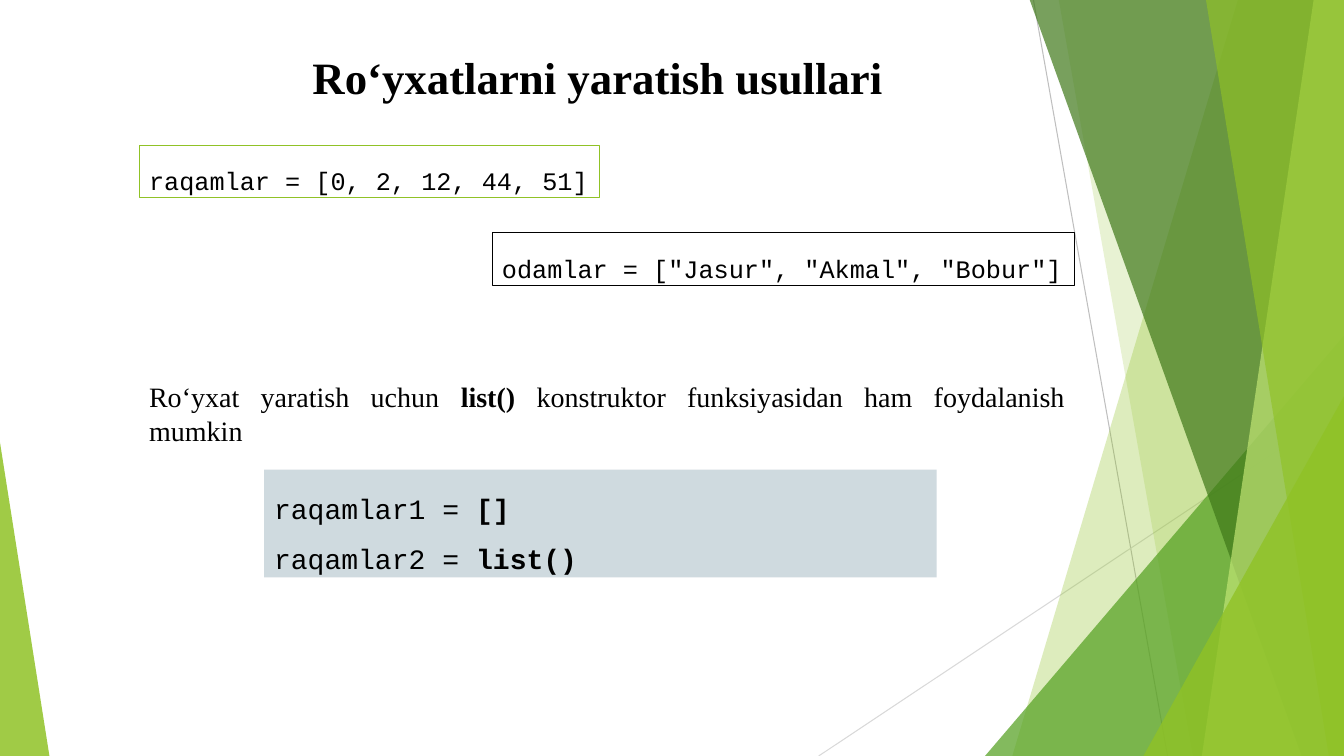
from lxml.etree import SubElement
from pptx import Presentation
from pptx.dml.color import RGBColor
from pptx.enum.shapes import MSO_CONNECTOR as Connector, MSO_SHAPE as Shape
from pptx.enum.text import MSO_ANCHOR as Anchor, MSO_AUTO_SIZE as AutoSize, PP_ALIGN as Align
from pptx.oxml.ns import qn
from pptx.util import Pt

PX = 9144
WIDTH, HEIGHT = 1333, 750
GREEN, BLACK = "90C226", "000000"
SERIF, MONO = "Times New Roman", "Courier New"


def paint(color_format, color):
    """Set a colour from a hex string."""
    color_format.rgb = RGBColor.from_string(color)


def outline(line, color):
    """Draw a thin line in the given colour."""
    paint(line.color, color)
    line.width = Pt(0.75)


def add_ray(slide, start, end, color):
    """Add a thin straight line without a shadow."""
    ray = slide.shapes.add_connector(Connector.STRAIGHT, *(v * PX for v in start + end))
    outline(ray.line, color)
    SubElement(ray._element.spPr, qn("a:effectLst"))


def glaze(facet, color, opacity):
    """Fill a facet with a translucent colour and no outline."""
    facet.shadow.inherit = False
    facet.line.fill.background()
    facet.fill.solid()
    paint(facet.fill.fore_color, color)
    tint = facet._element.spPr.find(qn("a:solidFill")).find(qn("a:srgbClr"))
    SubElement(tint, qn("a:alpha"), val=str(opacity * 1000))


def add_band(slide, top_x, bottom_x, color, opacity):
    """Add a full-height facet between a slanted edge and the right side."""
    builder = slide.shapes.build_freeform(top_x, -1, scale=PX)
    builder.add_line_segments([(WIDTH, -1), (WIDTH, HEIGHT), (bottom_x, HEIGHT)], close=True)
    glaze(builder.convert_to_shape(), color, opacity)


def add_corner(slide, left, top, width, apex, color, opacity):
    """Add a right triangle that stands on the bottom edge."""
    corner = slide.shapes.add_shape(
        Shape.ISOSCELES_TRIANGLE, left * PX, top * PX, width * PX, (HEIGHT - top) * PX)
    corner.adjustments[0] = apex
    glaze(corner, color, opacity)


def write(box, lines, size, face, wrap=True, align=Align.LEFT, spacing=1.0):
    """Write lines of (text, bold) runs into a box."""
    frame = box.text_frame
    layout = {"word_wrap": wrap, "auto_size": AutoSize.SHAPE_TO_FIT_TEXT,
              "vertical_anchor": Anchor.TOP}
    for name, value in layout.items():
        setattr(frame, name, value)
    for index, runs in enumerate(lines):
        paragraph = frame.add_paragraph() if index else frame.paragraphs[0]
        for name, value in {"alignment": align, "line_spacing": spacing}.items():
            setattr(paragraph, name, value)
        for text, bold in runs:
            run = paragraph.add_run()
            run.text = text
            for name, value in {"size": Pt(size), "name": face, "bold": bold}.items():
                setattr(run.font, name, value)
            paint(run.font.color, BLACK)


def add_prose(slide, area, runs, size, **layout):
    """Add a plain text box in the serif face."""
    prose = slide.shapes.add_textbox(*(v * PX for v in area))
    write(prose, [runs], size, SERIF, **layout)


def add_code(slide, area, lines, size, border=None, fill=None, wrap=True):
    """Add a rectangle with lines of code."""
    code = slide.shapes.add_shape(Shape.RECTANGLE, *(v * PX for v in area))
    code.shadow.inherit = False
    if fill:
        code.fill.solid()
        paint(code.fill.fore_color, fill)
    else:
        code.fill.background()
    if border:
        outline(code.line, border)
    else:
        code.line.fill.background()
    write(code, lines, size, MONO, wrap=wrap, spacing=1.5)


def add_backdrop(slide):
    """Add the rays and green facets behind the text."""
    add_ray(slide, (1025, 0), (1158, HEIGHT), "BFBFBF")
    add_ray(slide, (WIDTH, 403), (812, HEIGHT), "D9D9D9")
    add_band(slide, 1228, 1004, GREEN, 30)
    add_band(slide, 1050, 1183, GREEN, 20)
    add_corner(slide, 977, 333, 356, 1, "54A021", 72)
    add_band(slide, 1021, 1291, "3F7819", 70)
    add_band(slide, 1303, 1192, "C0E474", 70)
    add_band(slide, 1196, 1318, GREEN, 65)
    add_corner(slide, 1134, 393, 199, 1, GREEN, 80)
    add_corner(slide, 0, 439, 49, 0, GREEN, 85)


def main():
    """Build the slide and save it."""
    deck = Presentation()
    deck.slide_width, deck.slide_height = WIDTH * PX, HEIGHT * PX
    slide = deck.slides.add_slide(deck.slide_layouts[6])
    add_backdrop(slide)
    add_prose(slide, (300, 44, 591, 64), [("Ro‘yxatlarni yaratish usullari", True)], 32, wrap=False)
    add_code(slide, (138, 144, 457, 52), [[("raqamlar = [0, 2, 12, 44, 51]", False)]], 18,
             border=GREEN, wrap=False)
    add_code(slide, (488, 231, 578, 52), [[('odamlar = ["Jasur", "Akmal", "Bobur"]', False)]], 18,
             border=BLACK, wrap=False)
    add_prose(slide, (138, 372, 928, 77),
              [("Roʻyxat yaratish uchun ", False), ("list() ", True),
               ("konstruktor funksiyasidan ham foydalanish mumkin", False)],
              20, align=Align.JUSTIFY)
    add_code(slide, (262, 466, 667, 107),
             [[("raqamlar1 = ", False), ("[]", True)],
              [("raqamlar2 = ", False), ("list()", True)]], 20, fill="CFDADF")
    deck.save("out.pptx")


if __name__ == "__main__":
    main()
